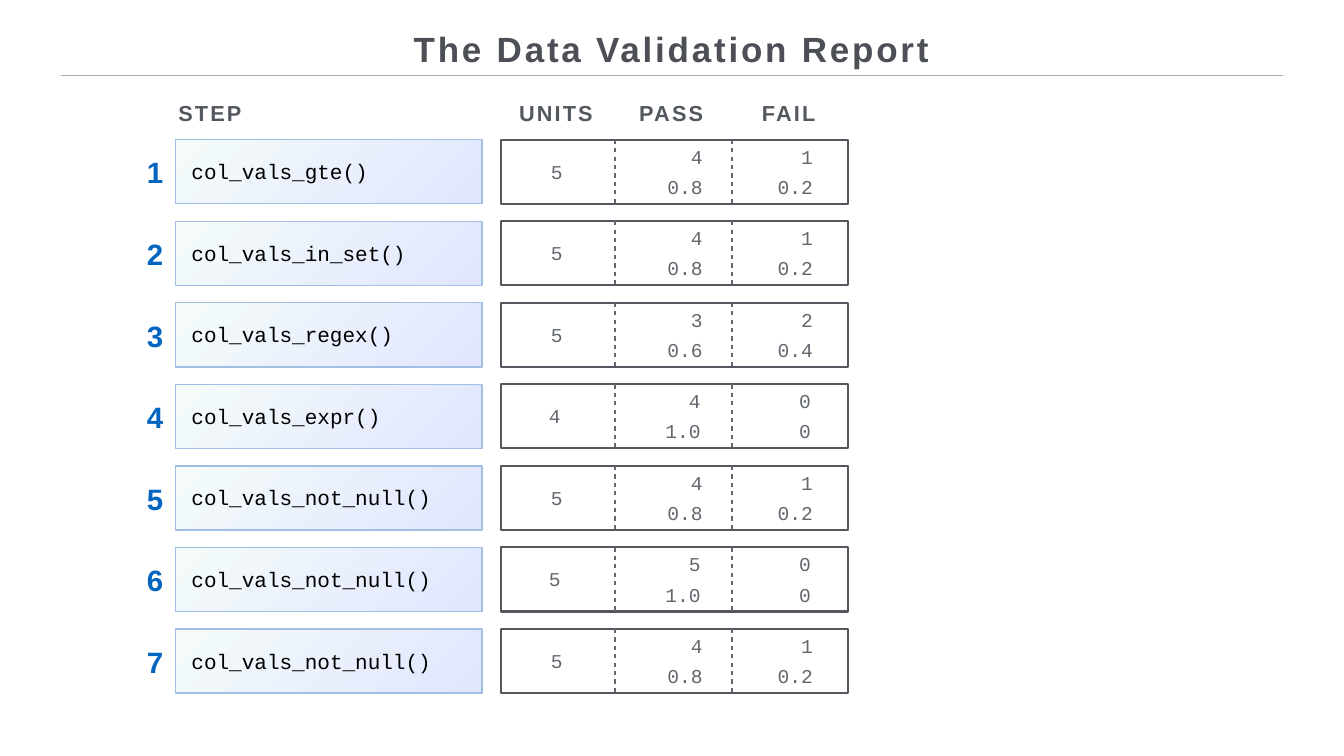
"""Build the data validation report slide."""
import lxml.etree
import pptx
import pptx.dml.color
import pptx.enum.shapes
import pptx.enum.text
import pptx.oxml.ns
import pptx.util

Cm = pptx.util.Cm
ALIGN = pptx.enum.text.PP_ALIGN
ANCHOR = pptx.enum.text.MSO_ANCHOR
HUES = {
    "title": "4C4F56", "rule": "A6AAA9", "head": "53585F",
    "index": "0365C0", "code": "000000", "value": "62666D",
    "edge": "A1BFE4", "deep": "E0E6FE", "pale": "F4FBF9", "frame": "54585E",
}
TOP, PITCH, HIGH = 7.04, 4.11, 3.23
HEADS = [("STEP", 8.84, 11.81, ALIGN.LEFT), ("UNITS", 25.48, 5.08, ALIGN.CENTER),
         ("PASS", 31.29, 5.08, ALIGN.CENTER), ("FAIL", 37.21, 5.08, ALIGN.CENTER)]
SLOTS = [(28.52, 0.89, ALIGN.CENTER), (35.56, 0.13, ALIGN.RIGHT),
         (35.56, 1.65, ALIGN.RIGHT), (41.12, 0.13, ALIGN.RIGHT),
         (41.12, 1.65, ALIGN.RIGHT)]
SPLITS = [31.01, 36.88]
STEPS = [
    ("col_vals_gte()", ["5", "4", "0.8", "1", "0.2"]),
    ("col_vals_in_set()", ["5", "4", "0.8", "1", "0.2"]),
    ("col_vals_regex()", ["5", "3", "0.6", "2", "0.4"]),
    ("col_vals_expr()", ["4", "4", "1.0", "0", "0"]),
    ("col_vals_not_null()", ["5", "4", "0.8", "1", "0.2"]),
    ("col_vals_not_null()", ["5", "5", "1.0", "0", "0"]),
    ("col_vals_not_null()", ["5", "4", "0.8", "1", "0.2"]),
]


def tint(name):
    """Return the named colour."""
    return pptx.dml.color.RGBColor.from_string(HUES[name])


def style(shape, text, size, hue, font="Arial", align=ALIGN.LEFT,
          anchor=ANCHOR.MIDDLE, wrap=True, space=0):
    """Fill a shape with one styled line of text."""
    frame = shape.text_frame
    frame.text = text
    frame.word_wrap = wrap
    frame.auto_size = pptx.enum.text.MSO_AUTO_SIZE.NONE
    frame.vertical_anchor = anchor
    frame.margin_left = frame.margin_right = Cm(0.15)
    frame.margin_top = frame.margin_bottom = Cm(0.15)
    line = frame.paragraphs[0]
    line.alignment = align
    run = line.runs[0]
    run.font.name = font
    run.font.size = pptx.util.Pt(size)
    run.font.bold = font == "Arial"
    run.font.color.rgb = tint(hue)
    if space:
        run.font._element.set("spc", str(round(space * 100)))


def label(slide, box, text, size, hue, **look):
    """Add a text box."""
    shape = slide.shapes.add_textbox(*map(Cm, box))
    style(shape, text, size, hue, **look)


def code(slide, box, text, size, hue, align=ALIGN.LEFT):
    """Add a line of code that does not wrap."""
    label(slide, box, text, size, hue, font="Courier New", align=align,
          anchor=ANCHOR.BOTTOM, wrap=False)


def panel(slide, left, top, wide, hue, width):
    """Add an outlined row panel."""
    shape = slide.shapes.add_shape(pptx.enum.shapes.MSO_SHAPE.RECTANGLE,
                                   *map(Cm, (left, top, wide, HIGH)))
    shape.shadow.inherit = False
    shape.fill.background()
    shape.line.color.rgb = tint(hue)
    shape.line.width = pptx.util.Pt(width)
    return shape


def shade(shape):
    """Give a panel its diagonal gradient."""
    shape.fill.gradient()
    shape.fill.gradient_angle = 135
    for stop, hue in zip(shape.fill.gradient_stops, ("deep", "pale")):
        stop.color.rgb = tint(hue)


def rule(slide, ends, hue, width, dash=False):
    """Add a straight line, dashed on demand."""
    line = slide.shapes.add_connector(
        pptx.enum.shapes.MSO_CONNECTOR.STRAIGHT, *map(Cm, ends))
    line.line.color.rgb = tint(hue)
    line.line.width = pptx.util.Pt(width)
    qn = pptx.oxml.ns.qn
    if dash:
        kind = lxml.etree.SubElement(line.line._ln, qn("a:custDash"))
        lxml.etree.SubElement(kind, qn("a:ds"), d="200000", sp="200000")
    lxml.etree.SubElement(line._element.spPr, qn("a:effectLst"))


def header(slide):
    """Place the title, its rule and the column heads."""
    title = slide.shapes.title
    title.left, title.top, title.width, title.height = map(
        Cm, (3.48, 1.24, 60.73, 2.39))
    style(title, "The Data Validation Report", 50, "title",
          align=ALIGN.CENTER, space=4)
    rule(slide, (3.07, 3.81, 64.67, 3.81), "rule", 2)
    for text, left, wide, align in HEADS:
        label(slide, (left, 4.88, wide, 1.6), text, 31, "head",
              align=align, space=3.1)


def step(slide, index, name, values):
    """Draw one validation step with its results."""
    top = TOP + PITCH * index
    label(slide, (6.45, top + 0.61, 1.93, 2.06), str(index + 1), 42, "index",
          align=ALIGN.RIGHT)
    shade(panel(slide, 8.86, top, 15.44, "edge", 2))
    code(slide, (9.5, top + 0.86, 0.635 * len(name) + 0.36, 1.52),
         name, 30, "code")
    panel(slide, 25.25, top, 17.5, "frame", 3)
    shift = 0.1 if values[-1] == "0" else 0
    for text, (right, drop, align) in zip(values, SLOTS):
        wide = 0.6 * len(text) + 0.31
        code(slide, (right - wide - shift, top + drop, wide, 1.45),
             text, 28, "value", align)
    for left in SPLITS:
        rule(slide, (left, top, left, top + HIGH), "value", 3, dash=True)


def main():
    """Build and save the slide."""
    deck = pptx.Presentation()
    deck.slide_width, deck.slide_height = Cm(67.74), Cm(38.1)
    slide = deck.slides.add_slide(deck.slide_layouts[5])
    header(slide)
    for index, (name, values) in enumerate(STEPS):
        step(slide, index, name, values)
    deck.save("out.pptx")


if __name__ == "__main__":
    main()
